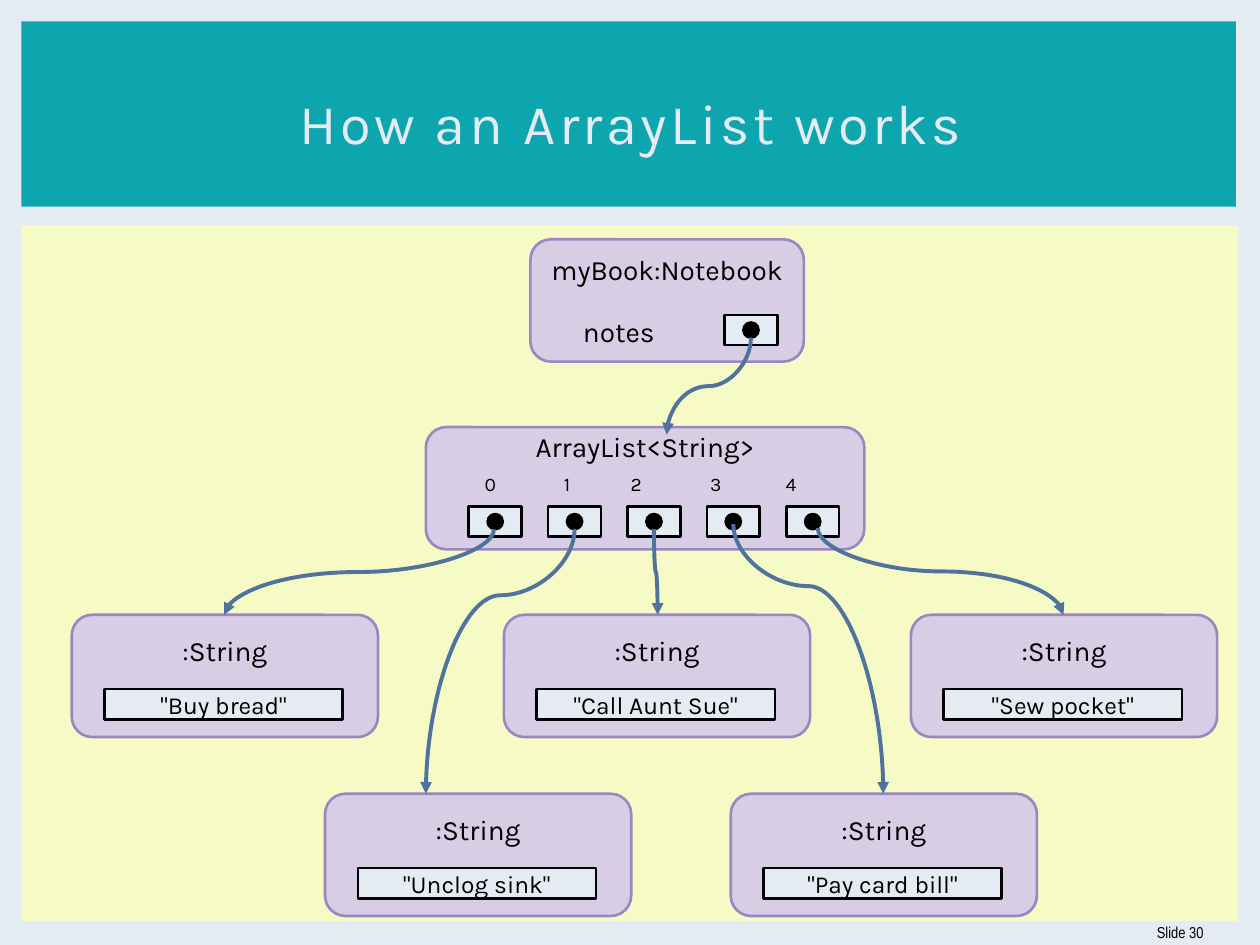
from dataclasses import dataclass

from lxml.etree import SubElement
from pptx import Presentation
from pptx.dml.color import RGBColor
from pptx.enum.shapes import MSO_CONNECTOR, MSO_SHAPE
from pptx.enum.text import MSO_ANCHOR, MSO_AUTO_SIZE, PP_ALIGN
from pptx.oxml.ns import qn
from pptx.util import Inches, Pt

INK = "000000"
PALE = "E5EBF2"
PANEL = "F6FBC5"
BAND = "0EA6AE"
LILAC = "D7CEE6"
PURPLE = "9C85C0"
BLUE = "4F739D"
FONT = "Karla"


@dataclass(frozen=True)
class StringObject:
    left: float
    top: float
    value: str


@dataclass(frozen=True)
class Reference:
    start: tuple[float, float]
    end: tuple[float, float]
    bend: float = 0.5


STRINGS = [
    StringObject(0.57, 4.88, '"Buy bread"'),
    StringObject(2.58, 6.3, '"Unclog sink"'),
    StringObject(4, 4.88, '"Call Aunt Sue"'),
    StringObject(5.8, 6.3, '"Pay card bill"'),
    StringObject(7.23, 4.88, '"Sew pocket"'),
]
REFERENCES = [
    Reference((5.96, 2.68), (5.29, 3.45)),
    Reference((3.92, 4.2), (1.78, 4.88)),
    Reference((4.56, 4.2), (3.38, 6.3), 0.25),
    Reference((5.82, 4.16), (7.01, 6.3), 0.23),
    Reference((5.19, 4.2), (5.22, 4.88)),
    Reference((6.49, 4.19), (8.44, 4.88)),
]
INDEX_TABS = [0.32, 0.95, 1.48, 2.11, 2.71]
SLOT_COUNT = len(STRINGS)


def color(hex_value: str) -> RGBColor:
    return RGBColor.from_string(hex_value)


def add_box(slide, preset, left: float, top: float, width: float, height: float,
            fill: str, outline: str | None = None):
    box = slide.shapes.add_shape(preset, Inches(left), Inches(top), Inches(width), Inches(height))
    box.shadow.inherit = False
    box.fill.solid()
    box.fill.fore_color.rgb = color(fill)
    if outline:
        box.line.color.rgb = color(outline)
        box.line.width = Pt(1.5)
    else:
        box.line.fill.background()
    return box


def add_object(slide, left: float, top: float, width: float):
    return add_box(slide, MSO_SHAPE.ROUNDED_RECTANGLE, left, top, width, 0.97, LILAC, PURPLE)


def format_paragraph(paragraph, size: float, align=PP_ALIGN.CENTER,
                     font: str = FONT, ink: str = INK) -> None:
    paragraph.alignment = align
    for run in paragraph.runs:
        run.font.size = Pt(size)
        run.font.name = font
        run.font.color.rgb = color(ink)


def add_slot(slide, left: float, top: float) -> None:
    add_box(slide, MSO_SHAPE.RECTANGLE, left, top, 0.42, 0.24, PALE, INK)
    add_box(slide, MSO_SHAPE.OVAL, left + 0.15, top + 0.06, 0.12, 0.12, INK, INK)


def add_title(slide) -> None:
    title = slide.shapes.title
    slide.shapes._spTree.append(title._element)
    title.left, title.top, title.width, title.height = map(Inches, (0.42, 0.39, 9.17, 1.15))
    frame = title.text_frame
    frame.text = "How an ArrayList works"
    frame.auto_size = MSO_AUTO_SIZE.NONE
    frame.vertical_anchor = MSO_ANCHOR.MIDDLE
    format_paragraph(frame.paragraphs[0], 32, ink=PALE)
    frame.paragraphs[0].runs[0].font._element.set("spc", "200")


def add_slide_number(slide) -> None:
    number = slide.shapes.add_textbox(Inches(9.01), Inches(7.25), Inches(0.64), Inches(0.3))
    frame = number.text_frame
    frame.word_wrap = True
    frame.vertical_anchor = MSO_ANCHOR.MIDDLE
    frame.text = "Slide 30"
    format_paragraph(frame.paragraphs[0], 9, PP_ALIGN.RIGHT, "Arial Narrow")


def add_notebook(slide) -> None:
    frame = add_object(slide, 4.21, 1.9, 2.17).text_frame
    frame.margin_left = frame.margin_right = Inches(0.05)
    frame.text = "myBook:Notebook\nnotes"
    header, field = frame.paragraphs
    format_paragraph(header, 16)
    format_paragraph(field, 16, PP_ALIGN.LEFT)
    field.space_before = Pt(16)
    field._p.get_or_add_pPr().set("marL", str(Inches(0.32)))
    add_slot(slide, 5.75, 2.5)


def add_array_list(slide) -> None:
    frame = add_object(slide, 3.38, 3.39, 3.48).text_frame
    frame.margin_top = 0
    frame.margin_bottom = Inches(0.41)
    frame.text = "ArrayList<String>\n" + "".join(f"\t{i}" for i in range(SLOT_COUNT))
    header, indices = frame.paragraphs
    format_paragraph(header, 16)
    indices.space_before = Pt(5.5)
    tabs = SubElement(indices._p.get_or_add_pPr(), qn("a:tabLst"))
    for position in INDEX_TABS:
        SubElement(tabs, qn("a:tab"), pos=str(Inches(position)), algn="l")
    format_paragraph(indices, 11, PP_ALIGN.LEFT)
    for i in range(SLOT_COUNT):
        add_slot(slide, 3.72 + 0.63 * i, 4.02)


def add_string(slide, item: StringObject) -> None:
    frame = add_object(slide, item.left, item.top, 2.43).text_frame
    frame.vertical_anchor = MSO_ANCHOR.TOP
    frame.margin_top = Inches(0.1)
    frame.text = ":String"
    format_paragraph(frame.paragraphs[0], 16)
    value = add_box(slide, MSO_SHAPE.RECTANGLE, item.left + 0.26, item.top + 0.59,
                    1.89, 0.24, PALE, INK).text_frame
    value.margin_top = value.margin_bottom = 0
    value.text = item.value
    format_paragraph(value.paragraphs[0], 14)


def add_reference(slide, reference: Reference) -> None:
    (x1, y1), (x2, y2) = reference.start, reference.end
    drop, shift = y2 - y1, abs(x2 - x1)
    left, top = (x1 + x2 - drop) / 2, (y1 + y2 - shift) / 2
    rightward = x2 > x1
    begin_x, end_x = (left + drop, left) if rightward else (left, left + drop)
    arrow = slide.shapes.add_connector(MSO_CONNECTOR.CURVE, Inches(begin_x), Inches(top),
                                       Inches(end_x), Inches(top + shift))
    arrow.rotation = 270 if rightward else 90
    arrow.line.color.rgb = color(BLUE)
    arrow.line.width = Pt(2.25)
    properties = arrow._element.spPr
    guides = properties.find(qn("a:prstGeom")).find(qn("a:avLst"))
    SubElement(guides, qn("a:gd"), name="adj1", fmla=f"val {round(reference.bend * 100000)}")
    SubElement(arrow.line._get_or_add_ln(), qn("a:tailEnd"), type="triangle")
    SubElement(properties, qn("a:effectLst"))


def main() -> None:
    presentation = Presentation()
    presentation.slide_width, presentation.slide_height = Inches(10), Inches(7.5)
    slide = presentation.slides.add_slide(presentation.slide_layouts[5])
    slide.background.fill.solid()
    slide.background.fill.fore_color.rgb = color(PALE)
    add_box(slide, MSO_SHAPE.RECTANGLE, 0.17, 1.79, 9.66, 5.52, PANEL)
    add_box(slide, MSO_SHAPE.RECTANGLE, 0.17, 0.17, 9.64, 1.47, BAND)
    add_title(slide)
    add_slide_number(slide)
    add_notebook(slide)
    add_array_list(slide)
    for item in STRINGS:
        add_string(slide, item)
    for reference in REFERENCES:
        add_reference(slide, reference)
    presentation.save("out.pptx")


if __name__ == "__main__":
    main()
